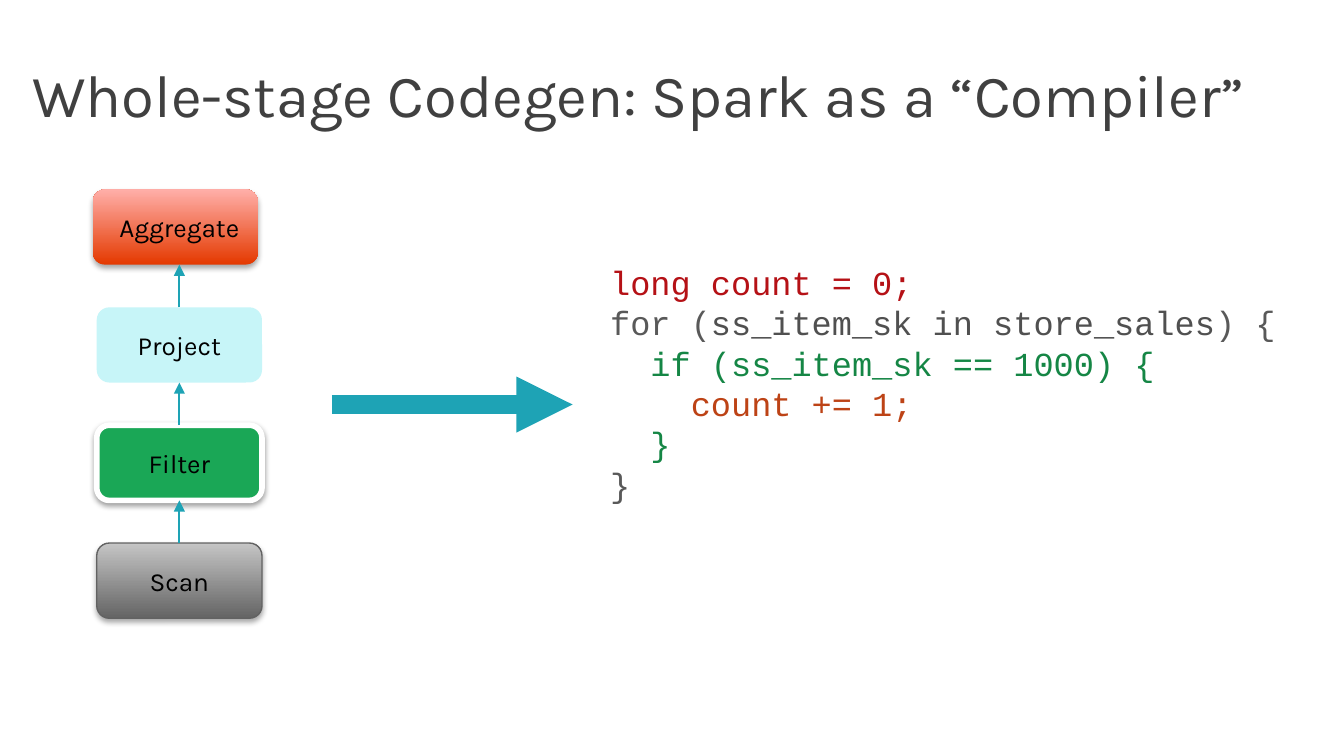
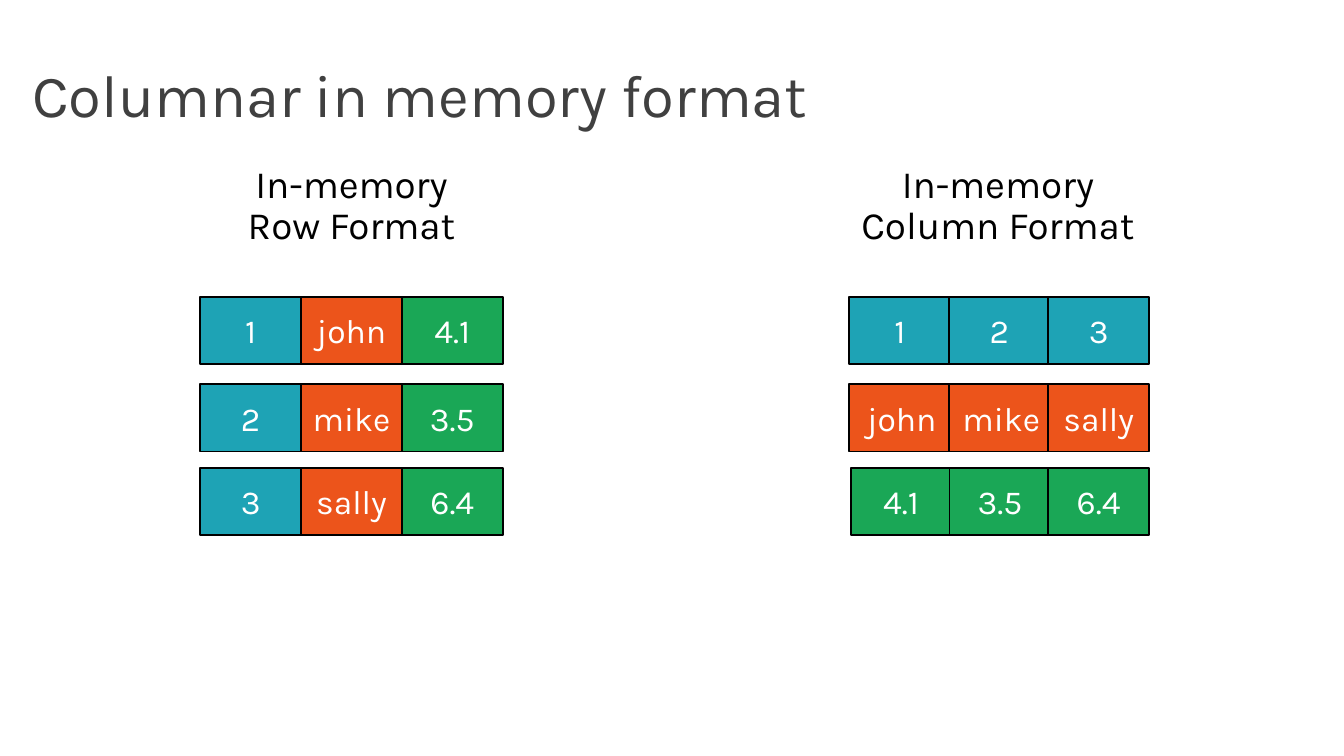
import dataclasses
import typing

import lxml.etree
import pptx
import pptx.dml.color
import pptx.enum.shapes
import pptx.enum.text
import pptx.oxml.ns
import pptx.util

RGBColor = pptx.dml.color.RGBColor
Align = pptx.enum.text.PP_ALIGN
Anchor = pptx.enum.text.MSO_ANCHOR
Preset = pptx.enum.shapes.MSO_SHAPE

BLACK = RGBColor(0x00, 0x00, 0x00)
WHITE = RGBColor(0xFF, 0xFF, 0xFF)
TITLE_GRAY = RGBColor(0x40, 0x40, 0x40)
TEAL = RGBColor(0x1E, 0xA3, 0xB5)
ORANGE = RGBColor(0xEC, 0x54, 0x1B)
GREEN = RGBColor(0x1A, 0xA7, 0x56)
PALE_CYAN = RGBColor(0xC7, 0xF5, 0xF8)
RED = RGBColor(0xE4, 0x39, 0x00)
PINK = RGBColor(0xFF, 0xAF, 0xA9)
DARK_GRAY = RGBColor(0x64, 0x64, 0x64)
LIGHT_GRAY = RGBColor(0xC5, 0xC5, 0xC5)
EDGE_GRAY = RGBColor(0x62, 0x62, 0x62)
CODE_RED = RGBColor(0xB5, 0x11, 0x16)
CODE_GRAY = RGBColor(0x59, 0x59, 0x59)
CODE_NAME = RGBColor(0x50, 0x50, 0x50)
CODE_GREEN = RGBColor(0x15, 0x86, 0x45)
CODE_ORANGE = RGBColor(0xBD, 0x43, 0x16)

SLIDE_WIDTH = pptx.util.Inches(10)
SLIDE_HEIGHT = pptx.util.Inches(5.625)
GRID_COLUMNS = 100
FONT = "Karla"
CODE_FONT = "Courier New"
INSET = 0.5

STAGE_TOP = 14.1
STAGE_PITCH = 8.77
STAGE_WIDTH = 12.3
STAGE_HEIGHT = 5.6
STAGE_CENTER = 13.35
CELL_WIDTH = 7.5
CELL_HEIGHT = 5
STRIP_TOPS = (22.1, 28.6, 34.8)


class Run(typing.NamedTuple):
    text: str
    color: RGBColor


class Box(typing.NamedTuple):
    left: float
    top: float
    width: float
    height: float


class Shadow(typing.NamedTuple):
    opacity: int
    blur: float
    distance: float


@dataclasses.dataclass(frozen=True)
class Stage:
    name: str
    fill: RGBColor
    fade: RGBColor | None = None
    edge: RGBColor | None = None
    edge_width: float = 0
    shadow: Shadow | None = None
    left: float = 7.2


@dataclasses.dataclass(frozen=True)
class Strip:
    values: tuple[str, ...]
    fills: tuple[RGBColor, ...]
    left: float
    pitch: float = CELL_WIDTH
    cell_width: float = CELL_WIDTH


@dataclasses.dataclass(frozen=True)
class MemoryFormat:
    heading: str
    heading_left: float
    right: float
    strips: tuple[Strip, ...]


SOFT = Shadow(35, 3, 1.8)
STAGES = (
    Stage("Aggregate", RED, fade=PINK, shadow=SOFT, left=6.9),
    Stage("Project", PALE_CYAN),
    Stage("Filter", GREEN, edge=WHITE, edge_width=3, shadow=Shadow(38, 3, 1.6)),
    Stage("Scan", DARK_GRAY, fade=LIGHT_GRAY, edge=EDGE_GRAY, edge_width=0.75, shadow=SOFT),
)

CODE = (
    (Run("long count = 0;", CODE_RED),),
    (Run("for (", CODE_GRAY), Run("ss_item_sk in store_sales", CODE_NAME), Run(") {", CODE_GRAY)),
    (Run("  if (ss_item_sk == 1000) {", CODE_GREEN),),
    (Run("    count += 1;", CODE_ORANGE),),
    (Run("  }", CODE_GREEN),),
    (Run("}", CODE_GRAY),),
)

RECORDS = (("1", "john", "4.1"), ("2", "mike", "3.5"), ("3", "sally", "6.4"))
FIELDS = tuple(zip(*RECORDS))
FIELD_FILLS = (TEAL, ORANGE, GREEN)
FORMATS = (
    MemoryFormat(
        "In-memory\nRow Format", 14.2, 37.4,
        tuple(Strip(record, FIELD_FILLS, 14.9) for record in RECORDS),
    ),
    MemoryFormat(
        "In-memory\nColumn Format", 62.3, 85.5,
        (
            Strip(FIELDS[0], (TEAL,) * 3, 63.2, pitch=7.4),
            Strip(FIELDS[1], (ORANGE,) * 3, 63.2, pitch=7.4, cell_width=7.8),
            Strip(FIELDS[2], (GREEN,) * 3, 63.3, pitch=7.35),
        ),
    ),
)


def grid(units: float) -> int:
    return round(SLIDE_WIDTH * units / GRID_COLUMNS)


def place(box: Box) -> tuple[int, ...]:
    return tuple(grid(units) for units in box)


def add_element(parent: typing.Any, tag: str, **attributes: str) -> typing.Any:
    return lxml.etree.SubElement(parent, pptx.oxml.ns.qn(tag), attributes)


def write(
    frame: typing.Any,
    text: str | typing.Sequence[typing.Sequence[Run]],
    *,
    size: float,
    color: RGBColor = BLACK,
    font: str = FONT,
    align: Align = Align.CENTER,
    anchor: Anchor = Anchor.MIDDLE,
    line_spacing: float | pptx.util.Length = 1.0,
    left_inset: float = INSET,
) -> None:
    frame.word_wrap = True
    frame.auto_size = pptx.enum.text.MSO_AUTO_SIZE.NONE
    frame.vertical_anchor = anchor
    frame.margin_left = grid(left_inset)
    frame.margin_top = frame.margin_right = frame.margin_bottom = grid(INSET)
    lines = [[Run(line, color)] for line in text.split("\n")] if isinstance(text, str) else text
    for index, line in enumerate(lines):
        paragraph = frame.add_paragraph() if index else frame.paragraphs[0]
        paragraph.alignment = align
        paragraph.line_spacing = line_spacing
        for part in line:
            run = paragraph.add_run()
            run.text = part.text
            run.font.size = pptx.util.Pt(size)
            run.font.name = font
            run.font.color.rgb = part.color


def add_titled_slide(deck: typing.Any, title: str) -> typing.Any:
    slide = deck.slides.add_slide(deck.slide_layouts[5])
    heading = slide.shapes.title
    heading.left, heading.top, heading.width, heading.height = place(Box(1.9, 2.3, 96.8, 9.4))
    write(heading.text_frame, title, size=32, color=TITLE_GRAY, align=Align.LEFT)
    return slide


def add_text(shapes: typing.Any, box: Box, text: typing.Any, **text_format: typing.Any) -> None:
    write(shapes.add_textbox(*place(box)).text_frame, text, **text_format)


def add_block(
    shapes: typing.Any,
    preset: Preset,
    box: Box,
    fill: RGBColor,
    *,
    fade: RGBColor | None = None,
    edge: RGBColor | None = None,
    edge_width: float = 1,
    shadow: Shadow | None = None,
) -> typing.Any:
    block = shapes.add_shape(preset, *place(box))
    if fade is None:
        block.fill.solid()
        block.fill.fore_color.rgb = fill
    else:
        block.fill.gradient()
        block.fill.gradient_angle = 90
        for stop, color in zip(block.fill.gradient_stops, (fill, fade)):
            stop.color.rgb = color
    if edge is None:
        block.line.fill.background()
    else:
        block.line.color.rgb = edge
        block.line.width = pptx.util.Pt(edge_width)
    block.shadow.inherit = False
    if shadow is not None:
        effects = block._element.spPr.find(pptx.oxml.ns.qn("a:effectLst"))
        outer = add_element(
            effects, "a:outerShdw",
            blurRad=str(pptx.util.Pt(shadow.blur)), dist=str(pptx.util.Pt(shadow.distance)),
            dir="5400000", rotWithShape="0",
        )
        tint = add_element(outer, "a:srgbClr", val=str(BLACK))
        add_element(tint, "a:alpha", val=str(shadow.opacity * 1000))
    return block


def add_arrow(
    shapes: typing.Any, start: tuple[float, float], end: tuple[float, float], width: float
) -> None:
    arrow = shapes.add_connector(
        pptx.enum.shapes.MSO_CONNECTOR.STRAIGHT, *(grid(units) for units in start + end)
    )
    arrow.line.color.rgb = TEAL
    arrow.line.width = pptx.util.Pt(width)
    properties = arrow._element.spPr
    add_element(properties.get_or_add_ln(), "a:tailEnd", type="triangle")
    add_element(properties, "a:effectLst")


def add_stage(shapes: typing.Any, stage: Stage, top: float) -> None:
    block = add_block(
        shapes, Preset.ROUNDED_RECTANGLE, Box(stage.left, top, STAGE_WIDTH, STAGE_HEIGHT),
        stage.fill, fade=stage.fade, edge=stage.edge, edge_width=stage.edge_width,
        shadow=stage.shadow,
    )
    shift = 2 * (STAGE_CENTER - stage.left) - STAGE_WIDTH
    write(block.text_frame, stage.name, size=14, left_inset=INSET + shift)


def add_format(slide: typing.Any, layout: MemoryFormat) -> None:
    shapes = slide.shapes.add_group_shape().shapes
    add_text(
        shapes, Box(layout.heading_left, 11.4, 23.9, 7.9), layout.heading,
        size=20.7, line_spacing=0.9,
    )
    for strip, top in zip(layout.strips, STRIP_TOPS):
        for index, (value, fill) in enumerate(zip(strip.values, strip.fills)):
            left = strip.left + index * strip.pitch
            width = min(strip.cell_width, layout.right - left)
            cell = add_block(
                shapes, Preset.RECTANGLE, Box(left, top, width, CELL_HEIGHT), fill, edge=BLACK
            )
            write(cell.text_frame, value, size=18, color=WHITE)


def build_codegen(deck: typing.Any) -> None:
    slide = add_titled_slide(deck, "Whole-stage Codegen: Spark as a “Compiler”")
    plan = slide.shapes.add_group_shape().shapes
    for index, stage in enumerate(STAGES):
        top = STAGE_TOP + index * STAGE_PITCH
        add_stage(plan, stage, top)
        if index:
            above = top - STAGE_PITCH + STAGE_HEIGHT
            add_arrow(plan, (STAGE_CENTER, top), (STAGE_CENTER, above), 1)
    add_text(
        slide.shapes, Box(44.9, 19, 53.7, 19.3), CODE, size=18, font=CODE_FONT,
        align=Align.LEFT, anchor=Anchor.TOP, line_spacing=pptx.util.Pt(21.6),
    )
    add_arrow(slide.shapes, (24.7, 30.1), (42.6, 30.1), 10)


def build_columnar(deck: typing.Any) -> None:
    slide = add_titled_slide(deck, "Columnar in memory format")
    for layout in FORMATS:
        add_format(slide, layout)


def main() -> None:
    deck = pptx.Presentation()
    deck.slide_width = SLIDE_WIDTH
    deck.slide_height = SLIDE_HEIGHT
    build_codegen(deck)
    build_columnar(deck)
    deck.save("out.pptx")


if __name__ == "__main__":
    main()
